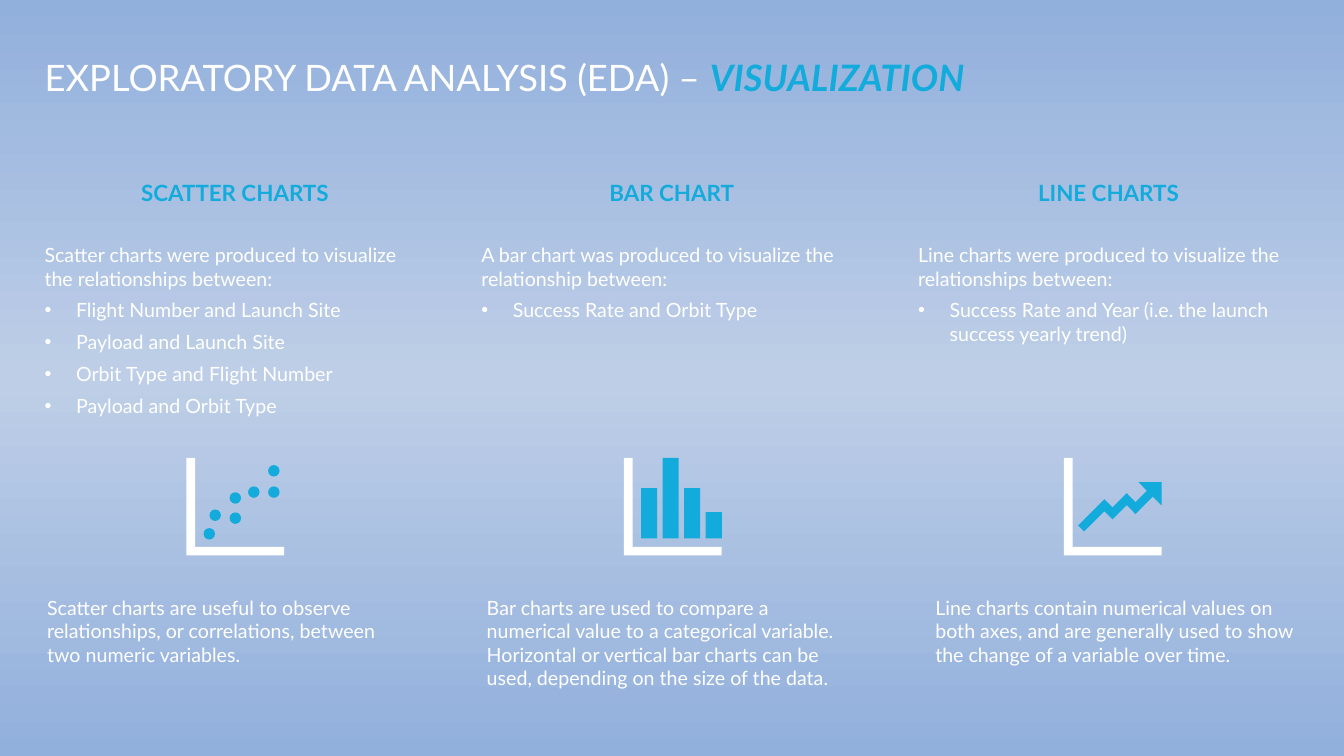
from copy import deepcopy

from pptx import Presentation
from pptx.dml.color import RGBColor
from pptx.enum.shapes import MSO_SHAPE
from pptx.enum.text import MSO_ANCHOR, MSO_AUTO_SIZE, PP_ALIGN
from pptx.oxml.ns import qn
from pptx.util import Pt

OVAL, RECT = MSO_SHAPE.OVAL, MSO_SHAPE.RECTANGLE
TOP, MIDDLE, BOTTOM = MSO_ANCHOR.TOP, MSO_ANCHOR.MIDDLE, MSO_ANCHOR.BOTTOM
LEFT, CENTER = PP_ALIGN.LEFT, PP_ALIGN.CENTER
NO_FIT = MSO_AUTO_SIZE.NONE

# Content
FONT, WHITE, CYAN = "Lato", "FFFFFF", "12ABDB"
GRADIENT = [(0, "92B0DC"), (0.5, "BECEE7"), (1, "92B0DC")]
TITLE = ("EXPLORATORY DATA ANALYSIS (EDA) – ", "VISUALIZATION")
COLUMNS = [
    ("SCATTER CHARTS",
     "Scatter charts were produced to visualize the relationships between:",
     ["Flight Number and Launch Site", "Payload and Launch Site",
      "Orbit Type and Flight Number", "Payload and Orbit Type"],
     "Scatter charts are useful to observe relationships, or correlations, "
     "between two numeric variables."),
    ("BAR CHART",
     "A bar chart was produced to visualize the relationship between:",
     ["Success Rate and Orbit Type"],
     "Bar charts are used to compare a numerical value to a categorical variable. "
     "Horizontal or vertical bar charts can be used, depending on the size of the data."),
    ("LINE CHARTS",
     "Line charts were produced to visualize the relationships between:",
     ["Success Rate and Year (i.e. the launch success yearly trend)"],
     "Line charts contain numerical values on both axes, and are generally used "
     "to show the change of a variable over time."),
]

# Layout in points; icon parts are measured from the icon's top left corner
MARGIN, PITCH, COL_W = 31.8, 312, 272
NOTE_X, NOTE_Y = [26.6, 340.6, 661], 422
ICON_X, ICON_Y, ICON, AXIS = [133.2, 445.7, 760], 327, 69.8, 6.2
DOT, DOTS = 8.2, [(12.2, 50.2), (16.4, 36.9), (30.8, 39), (30.8, 24.6),
                  (44, 20.4), (58.3, 20.4), (58.3, 5.2)]
BAR_X, BAR_W, BAR_STEP, BAR_BASE = 12.2, 11.5, 15.4, 57.6
BARS = [36, 57.6, 36, 18.7]
ELBOW = [(0, 0), (AXIS, 0), (AXIS, ICON - AXIS), (ICON, ICON - AXIS),
         (ICON, ICON), (0, ICON)]
ARROW = [(53.3, 17.4), (59.2, 23.6), (51.1, 31.7), (44.8, 25.3), (34.7, 35.4),
         (28.9, 29.6), (10.1, 48.3), (14.4, 52.6), (28.9, 38.2), (34.7, 44),
         (44.8, 33.8), (51.1, 40.2), (63.4, 27.8), (69.7, 34), (69.7, 17.4)]


def rgb(color):
    return RGBColor.from_string(color)


def place(sp, x, y, w, h):
    sp.left, sp.top, sp.width, sp.height = Pt(x), Pt(y), Pt(w), Pt(h)


def frame(sp, anchor):
    tf = sp.text_frame
    tf.word_wrap, tf.auto_size, tf.vertical_anchor = True, NO_FIT, anchor
    tf.margin_left = tf.margin_right = tf.margin_top = tf.margin_bottom = 0
    return tf


def style(font, size, color, bold=False, italic=False):
    font.name, font.size, font.bold, font.italic = FONT, Pt(size), bold, italic
    font.color.rgb = rgb(color)


def paragraph(p, text, size, color, align=LEFT, after=0, bold=False, bullet=False):
    p.text, p.alignment = text, align
    p.line_spacing, p.space_before, p.space_after = 1.0, Pt(0), Pt(after)
    pPr = p._p.get_or_add_pPr()
    indent = Pt(22.5) if bullet else 0
    pPr.set("marL", str(indent))
    pPr.set("indent", str(-indent))
    if bullet:
        font = pPr.makeelement(qn("a:buFont"), {"typeface": "Arial"})
        pPr.extend([font, pPr.makeelement(qn("a:buChar"), {"char": "•"})])
    else:
        pPr.append(pPr.makeelement(qn("a:buNone"), {}))
    style(p.runs[0].font, size, color, bold)


def paint(sp, color):
    sp.shadow.inherit = False
    sp.fill.solid()
    sp.fill.fore_color.rgb = rgb(color)
    sp.line.fill.background()


def outline(s, x, points, color):
    points = [(Pt(x + px), Pt(ICON_Y + py)) for px, py in points]
    builder = s.shapes.build_freeform(*points[0])
    builder.add_line_segments(points[1:], close=True)
    paint(builder.convert_to_shape(), color)


def preset(s, kind, x, y, w, h):
    paint(s.shapes.add_shape(kind, Pt(x), Pt(ICON_Y + y), Pt(w), Pt(h)), CYAN)


prs = Presentation()
prs.slide_width, prs.slide_height = Pt(960), Pt(540)
s = prs.slides.add_slide(prs.slide_layouts.get_by_name("Comparison"))

# Background: vertical gradient, lighter in the middle
fill = s.background.fill
fill.gradient()
fill.gradient_angle = 270
first = next(s.element.iter(qn("a:gs")))
first.addnext(deepcopy(first))
for stop, (position, color) in zip(fill.gradient_stops, GRADIENT):
    stop.position, stop.color.rgb = position, rgb(color)

# Title
title = s.shapes.title
place(title, MARGIN, 15, 862, 56)
p = frame(title, BOTTOM).paragraphs[0]
paragraph(p, TITLE[0], 26, WHITE)
p.line_spacing = 0.9
r = p.add_run()
r.text = TITLE[1]
style(r.font, 26, CYAN, bold=True, italic=True)

# Columns: the layout holds two pairs of heading and list, the third is added
bodies = [ph for ph in s.placeholders if 1 <= ph.placeholder_format.idx <= 4]
bodies += [s.shapes.add_textbox(0, 0, 0, 0) for _ in range(2)]
for i, (heading, intro, items, note) in enumerate(COLUMNS):
    x = MARGIN + i * PITCH
    head, body = bodies[2 * i:2 * i + 2]
    place(head, x, 104.4, COL_W, 66)
    paragraph(frame(head, MIDDLE).paragraphs[0], heading, 16, CYAN, CENTER, 6, True)
    place(body, x, 173.5, COL_W, 321)
    tf = frame(body, TOP)
    paragraph(tf.paragraphs[0], intro, 14, WHITE, after=6)
    for item in items:
        paragraph(tf.add_paragraph(), item, 14, WHITE, after=6, bullet=True)

    box = s.shapes.add_textbox(Pt(NOTE_X[i]), Pt(NOTE_Y), Pt(COL_W), Pt(58))
    box.text_frame.word_wrap = True
    paragraph(box.text_frame.paragraphs[0], note, 14, WHITE)

# Icons: axes, then dots, bars and trend arrow
for x in ICON_X:
    outline(s, x, ELBOW, WHITE)
scatter_x, bar_x, line_x = ICON_X
for dx, dy in DOTS:
    preset(s, OVAL, scatter_x + dx, dy, DOT, DOT)
for i, h in enumerate(BARS):
    preset(s, RECT, bar_x + BAR_X + i * BAR_STEP, BAR_BASE - h, BAR_W, h)
outline(s, line_x, ARROW, CYAN)

prs.save("out.pptx")
